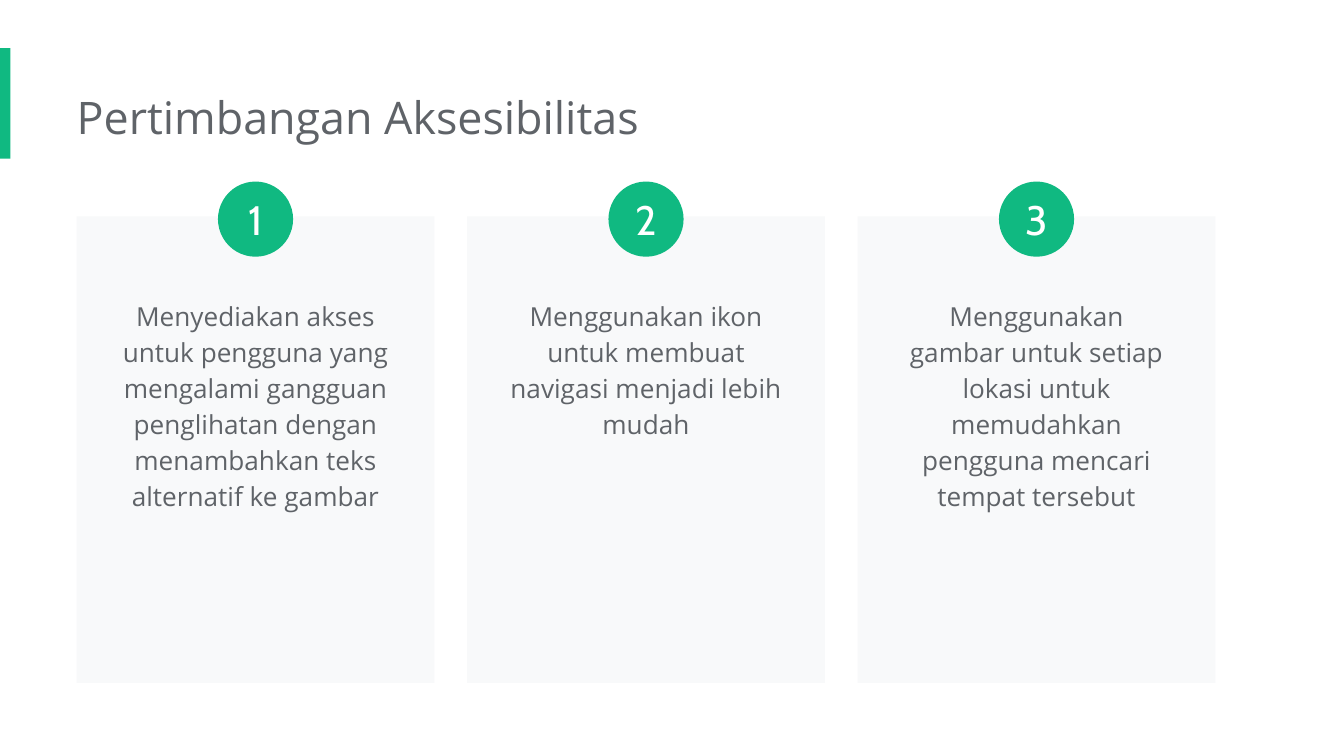
from pptx import Presentation
from pptx.dml.color import RGBColor
from pptx.enum.shapes import MSO_SHAPE
from pptx.enum.text import MSO_ANCHOR, MSO_AUTO_SIZE, PP_ALIGN
from pptx.util import Cm, Pt

RECTANGLE, OVAL = MSO_SHAPE.RECTANGLE, MSO_SHAPE.OVAL
TOP, MIDDLE = MSO_ANCHOR.TOP, MSO_ANCHOR.MIDDLE
LEFT, CENTER = PP_ALIGN.LEFT, PP_ALIGN.CENTER
NO_FIT = MSO_AUTO_SIZE.NONE

GREEN = RGBColor(0x10, 0xB9, 0x81)
GRAY = RGBColor(0x5F, 0x63, 0x68)
PALE = RGBColor(0xF8, 0xF9, 0xFA)
WHITE = RGBColor(0xFF, 0xFF, 0xFF)

TITLE_FONT = {"name": "Open Sans", "size": Pt(24), "color": GRAY}
BODY_FONT = {"name": "Open Sans", "size": Pt(14), "color": GRAY}
NUMBER_FONT = {"name": "Cabin", "size": Pt(22), "color": WHITE}

MARGIN = 1.45
CARD_WIDTH, CARD_PITCH = 6.76, 7.38
TEXT_WIDTH = 5.69
CIRCLE_SIZE = 1.42

CARDS = [
    ["Menyediakan akses",
     "untuk pengguna yang mengalami gangguan penglihatan dengan "
     "menambahkan teks alternatif ke gambar"],
    ["Menggunakan ikon untuk membuat",
     "navigasi menjadi lebih mudah"],
    ["Menggunakan",
     "gambar untuk setiap lokasi untuk memudahkan pengguna mencari "
     "tempat tersebut"],
]


def set_values(target, values):
    for name, value in values.items():
        setattr(target, name, value)


def write_text(box, lines, font, align, anchor, spacing, insets):
    frame = box.text_frame
    frame.text = "\n".join(lines)
    left, top, right, bottom = map(Cm, insets)
    set_values(frame, {
        "word_wrap": True, "auto_size": NO_FIT, "vertical_anchor": anchor,
        "margin_left": left, "margin_top": top,
        "margin_right": right, "margin_bottom": bottom,
    })
    for para in frame.paragraphs:
        set_values(para, {"alignment": align, "line_spacing": spacing})
        for span in para.runs:
            set_values(span.font, {"name": font["name"], "size": font["size"]})
            span.font.color.rgb = font["color"]


def add_filled_shape(page, kind, left, top, width, height, color):
    shape = page.shapes.add_shape(kind, Cm(left), Cm(top), Cm(width), Cm(height))
    shape.shadow.inherit = False
    shape.fill.solid()
    shape.fill.fore_color.rgb = color
    shape.line.fill.background()
    return shape


def add_title(page, text):
    title = page.shapes.title
    set_values(title, {"left": Cm(MARGIN), "top": Cm(1.45),
                       "width": Cm(19.46), "height": Cm(1.55)})
    write_text(title, [text], TITLE_FONT, LEFT, TOP, 1.0, (0, 0.25, 0.25, 0.25))


def add_card(page, index, lines):
    left = MARGIN + index * CARD_PITCH
    add_filled_shape(page, RECTANGLE, left, 4.09, CARD_WIDTH, 8.81, PALE)

    text_left = left + (CARD_WIDTH - TEXT_WIDTH) / 2
    box = page.shapes.add_textbox(Cm(text_left), Cm(5.33), Cm(TEXT_WIDTH), Cm(6))
    write_text(box, lines, BODY_FONT, CENTER, TOP, 1.15, (0.25,) * 4)

    circle_left = left + (CARD_WIDTH - CIRCLE_SIZE) / 2
    circle = add_filled_shape(page, OVAL, circle_left, 3.43,
                              CIRCLE_SIZE, CIRCLE_SIZE, GREEN)
    write_text(circle, [str(index + 1)], NUMBER_FONT, CENTER, MIDDLE, 1.0, (0,) * 4)


def main():
    deck = Presentation()
    set_values(deck, {"slide_width": Cm(25.4), "slide_height": Cm(14.28)})
    page = deck.slides.add_slide(deck.slide_layouts[5])
    add_filled_shape(page, RECTANGLE, 0, 0.91, 0.2, 2.09, GREEN)
    add_title(page, "Pertimbangan Aksesibilitas")
    for index, lines in enumerate(CARDS):
        add_card(page, index, lines)
    deck.save("out.pptx")


if __name__ == "__main__":
    main()
